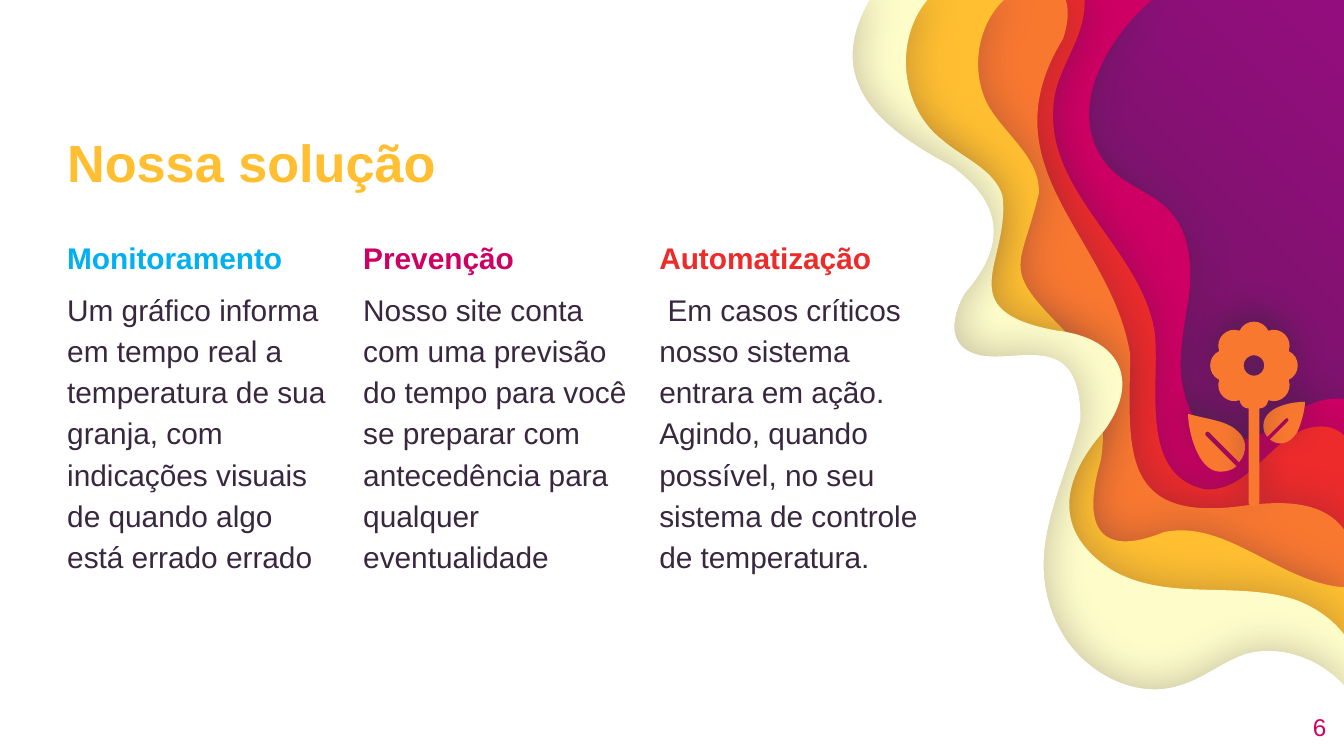
from math import cos, sin, radians
from pptx import Presentation
from pptx.dml.color import RGBColor
from pptx.enum.text import MSO_ANCHOR, PP_ALIGN
from pptx.oxml import parse_xml
from pptx.oxml.ns import nsdecls, qn
from pptx.util import Pt

MAGENTA = RGBColor(0xCE, 0x00, 0x63)
RED = RGBColor(0xED, 0x2B, 0x2B)
ORANGE = RGBColor(0xF9, 0x78, 0x30)
YELLOW = RGBColor(0xFF, 0xBF, 0x31)
CREAM = RGBColor(0xFE, 0xFD, 0xCA)
WHITE = RGBColor(0xFF, 0xFF, 0xFF)
BLUE = RGBColor(0x00, 0xB0, 0xF0)
DARK = RGBColor(0x39, 0x27, 0x3F)
PURPLE = RGBColor(0x94, 0x0D, 0x7F)
PLUM = RGBColor(0x5E, 0x1B, 0x53)

prs = Presentation()
prs.slide_width, prs.slide_height = Pt(720), Pt(405)
s = prs.slides.add_slide(prs.slide_layouts[6])

s.background.fill.gradient()
grad = s._element.find('.//' + qn('a:gradFill'))
stops = ''.join(f'<a:gs pos="{pos}"><a:srgbClr val="{c}"/></a:gs>'
                for pos, c in ((0, PURPLE), (50000, PLUM), (100000, PLUM)))
grad.getparent().replace(grad, parse_xml(
    f'<a:gradFill {nsdecls("a")}><a:gsLst>{stops}</a:gsLst>'
    '<a:path path="circle"><a:fillToRect l="100000" b="100000"/></a:path></a:gradFill>'))


def join(first, *pieces):
    out = list(first)
    for piece in pieces:
        out += [out[-1], piece[0], *piece]
    return out


def draw(contours, color, alpha, blur, dist, angle):
    scaled = [[(x * 72, y * 72) for x, y in c] for c in contours]
    fb = s.shapes.build_freeform(*scaled[0][0], scale=Pt(0.01))
    fb.add_line_segments(scaled[0][1:])
    for c in scaled[1:]:
        fb.move_to(*c[0])
        fb.add_line_segments(c[1:])
    sp = fb.convert_to_shape()
    outline = sp._element.find('.//' + qn('a:path'))
    lines = outline.findall(qn('a:lnTo'))
    for i in range(0, len(lines), 3):
        cubic = outline.makeelement(qn('a:cubicBezTo'))
        lines[i].addprevious(cubic)
        for line in lines[i:i + 3]:
            cubic.append(line[0])
            outline.remove(line)
    sp.fill.solid()
    sp.fill.fore_color.rgb = color
    sp.line.fill.background()
    sp.shadow.inherit = False
    sp._element.spPr.find(qn('a:effectLst')).append(parse_xml(
        f'<a:outerShdw {nsdecls("a")} blurRad="{Pt(blur)}" dist="{Pt(dist)}" dir="{angle * 60000}" '
        f'algn="ctr" rotWithShape="0"><a:srgbClr val="{DARK}"><a:alpha val="{alpha * 1000}"/>'
        '</a:srgbClr></a:outerShdw>'))


waves = [
    (MAGENTA, [(1000, 297), (988, 295), (974, 300), (963, 307), (925, 339), (887, 337), (879, 281),
               (877, 260), (882, 239), (885, 218), (887, 197), (885, 174), (872, 159),
               (859, 143), (837, 139), (824, 123), (791, 84), (824, 28), (857, 0)]),
    (RED, [(1000, 324), (991, 315), (976, 316), (965, 322), (942, 334), (925, 367), (896, 364),
           (846, 353), (864, 284), (859, 246), (848, 182), (772, 140), (785, 70),
           (790, 46), (808, 26), (807, 0)]),
    (ORANGE, [(1000, 394), (984, 372), (953, 373), (928, 376), (833, 390), (840, 336), (841, 264),
              (827, 176), (732, 125), (791, 29), (794, 20), (796, 9), (793, 0)]),
    (YELLOW, [(1000, 437), (953, 434), (912, 386), (866, 396), (814, 417), (806, 387), (819, 343),
              (825, 309), (815, 272), (793, 247), (744, 198), (759, 202), (773, 144),
              (774, 117), (748, 101), (735, 78), (722, 53), (727, 19), (747, 0)]),
    (CREAM, [(1000, 472), (991, 460), (977, 451), (963, 446), (919, 432), (868, 448), (827, 424),
             (782, 395), (790, 356), (822, 320), (850, 281), (831, 251), (786, 246),
             (705, 231), (752, 195), (746, 146), (740, 126), (717, 118), (701, 104),
             (670, 80), (665, 30), (690, 0)]),
    (WHITE, [(1000, 510), (982, 490), (952, 479), (926, 487), (909, 493), (895, 505), (878, 510),
             (844, 521), (806, 500), (789, 469), (759, 413), (791, 366), (804, 312),
             (804, 232), (740, 283), (715, 257), (706, 247), (711, 230), (718, 218),
             (749, 183), (747, 151), (707, 123), (656, 96), (612, 61), (647, 0)]),
]
for color, edge in waves:
    draw([join(edge, [(0, 0)], [(0, 562.5)], [(1000, 562.5)])], color, 30, 22.5, 0.8, 0)

columns = [
    ('Monitoramento', BLUE, 'Um gráfico informa em tempo real a temperatura de sua granja, '
     'com indicações visuais de quando algo está errado errado'),
    ('Prevenção', MAGENTA, 'Nosso site conta com uma previsão do tempo para você se preparar '
     'com antecedência para qualquer eventualidade'),
    ('Automatização', RED, ' Em casos críticos nosso sistema entrara em ação. Agindo, quando '
     'possível, no seu sistema de controle de temperatura.'),
]
TOP, BOTTOM, MIDDLE = MSO_ANCHOR.TOP, MSO_ANCHOR.BOTTOM, MSO_ANCHOR.MIDDLE
LEFT, RIGHT = PP_ALIGN.LEFT, PP_ALIGN.RIGHT
boxes = [((36, 46.8, 410.4, 56.2), BOTTOM, LEFT, 0.8, 0, [('Nossa solução', 28, YELLOW, True)])]
for i, (head, color, body) in enumerate(columns):
    boxes.append(((36 + 158.6 * i, 125.3, 142.6, 231.8), TOP, LEFT, 1.15, 6,
                  [(head, 16, color, True), (body, 16, DARK, False)]))
boxes.append(((667.4, 373.7, 43.2, 31), MIDDLE, RIGHT, 1.0, 0, [('6', 13, MAGENTA, False)]))

for box, anchor, align, spacing, before, paragraphs in boxes:
    tf = s.shapes.add_textbox(*(Pt(v) for v in box)).text_frame
    tf.word_wrap = True
    tf.vertical_anchor = anchor
    tf.margin_left = tf.margin_top = tf.margin_right = tf.margin_bottom = 0
    for i, (text, size, color, bold) in enumerate(paragraphs):
        p = tf.add_paragraph() if i else tf.paragraphs[0]
        p.text = text
        p.alignment = align
        p.line_spacing = spacing
        p.space_before = Pt(before)
        p.font.name, p.font.size, p.font.bold = 'Arial', Pt(size), bold
        p.font.color.rgb = color

right_leaf = join(
    [(971, 299), (960, 299), (940, 303), (940, 317), (940, 320), (941, 323), (943, 325)],
    [(956, 312), (958, 310), (960, 312), (958, 314)],
    [(945, 327), (951, 332), (959, 331), (965, 322), (968, 316), (971, 305), (971, 299)])
left_leaf = join(
    [(884, 308), (884, 320), (891, 351), (908, 351), (912, 351), (917, 350), (920, 347)],
    [(897, 324), (896, 322), (898, 320), (900, 322)],
    [(922, 344), (928, 337), (928, 327), (921, 321), (913, 313), (898, 312), (884, 308)])

cx, cy, valley, bulge = 933, 272, 28, 35.4
polar = [(valley, 112.5)]
for angle in range(135, 406, 45):
    polar += [(bulge, angle - 10.4), (bulge, angle + 10.4), (valley, angle + 22.5)]
petals = [(cx + d * cos(radians(a)), cy + d * sin(radians(a))) for d, a in polar]
stem = join([petals[-1], (943, 302), (940, 304), (937, 304)],
            [(937, 373.5), (937, 378.5), (929, 378.5), (929, 373.5)],
            [(929, 304), (926, 304), (923, 302), petals[0]])
eye = [(cx + x, cy + y) for x, y in (
    (7.7, 0), (7.7, -4.2), (4.2, -7.7), (0, -7.7), (-4.2, -7.7), (-7.7, -4.2), (-7.7, 0),
    (-7.7, 4.2), (-4.2, 7.7), (0, 7.7), (4.2, 7.7), (7.7, 4.2), (7.7, 0))]

for contours in ([right_leaf], [left_leaf], [petals + stem[1:], eye]):
    draw(contours, ORANGE, 50, 15.8, 6, 270)

prs.save("out.pptx")
